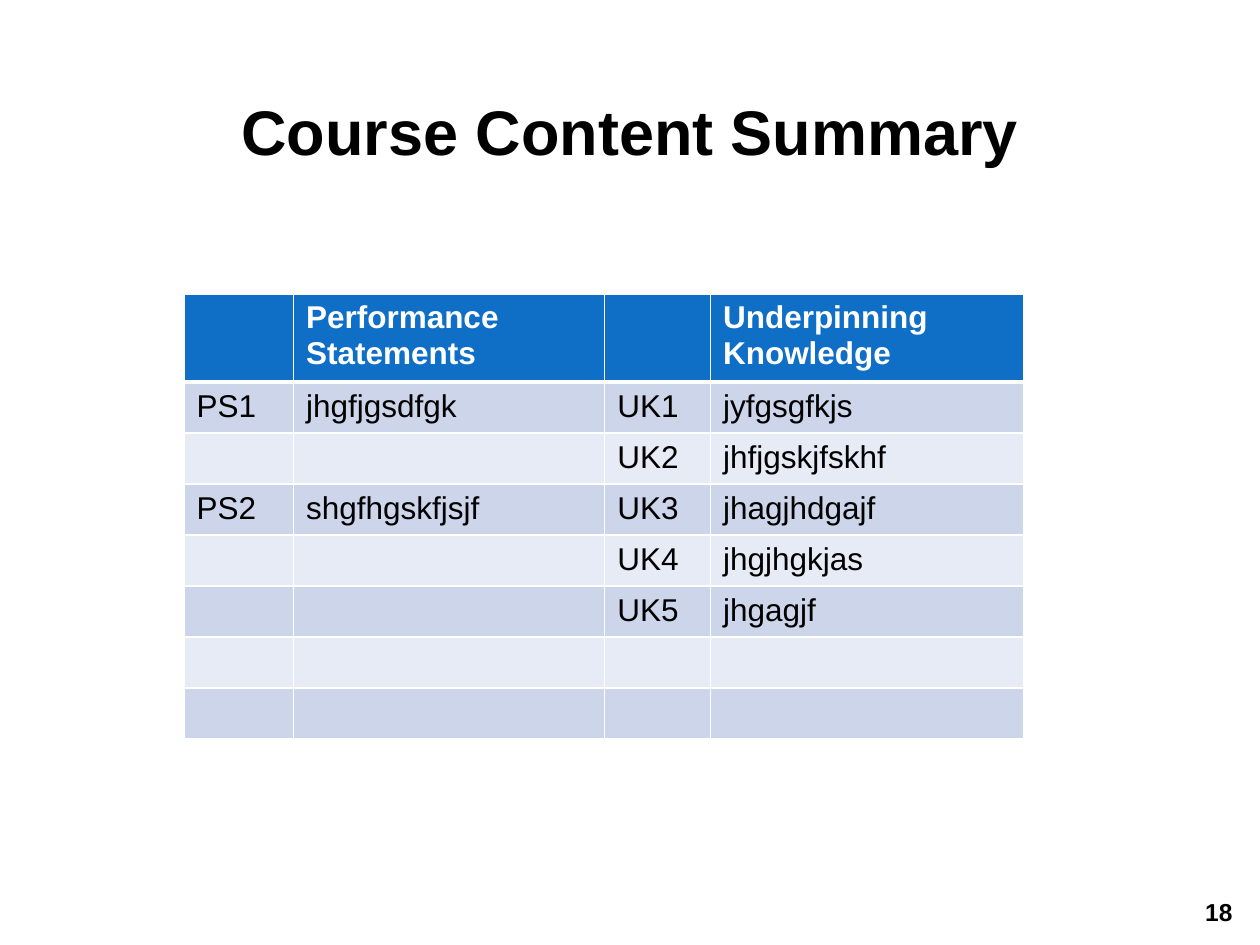
from dataclasses import dataclass

from lxml import etree
from pptx import Presentation
from pptx.dml.color import RGBColor
from pptx.enum.text import MSO_ANCHOR, PP_ALIGN
from pptx.oxml.ns import qn
from pptx.util import Inches, Pt

LEFT, CENTER, RIGHT = PP_ALIGN.LEFT, PP_ALIGN.CENTER, PP_ALIGN.RIGHT
MIDDLE = MSO_ANCHOR.MIDDLE

SLIDE_W, SLIDE_H = 10, 7.5
FONT = "Arial"
COLORS = {
    "text": "000000",
    "white": "FFFFFF",
    "header": "0F6FC6",
    "odd": "CCD5EA",
    "even": "E7EBF5",
}


@dataclass(frozen=True)
class Label:
    text: str
    x: float
    y: float
    w: float
    h: float
    size: int
    align: PP_ALIGN


LABELS = [
    Label("Course Content Summary", 0.075, 0.08, 0.85, 0.116, 36, CENTER),
    Label("18", 0.894, 0.937, 0.094, 0.056, 14, RIGHT),
]

TABLE_X, TABLE_Y = 0.146, 0.311
COL_WIDTHS = [0.87, 2.47, 0.84, 2.49]
HEADER_H, ROW_H = 0.65, 0.405
ROWS = [
    ("", "Performance Statements", "", "Underpinning Knowledge"),
    ("PS1", "jhgfjgsdfgk", "UK1", "jyfgsgfkjs"),
    ("", "", "UK2", "jhfjgskjfskhf"),
    ("PS2", "shgfhgskfjsjf", "UK3", "jhagjhdgajf"),
    ("", "", "UK4", "jhgjhgkjas"),
    ("", "", "UK5", "jhgagjf"),
    ("", "", "", ""),
    ("", "", "", ""),
]


def write(tf, text: str, *, size: int = 18, color: str = "text",
          bold: bool = False, align: PP_ALIGN = LEFT) -> None:
    p = tf.paragraphs[0]
    p.alignment = align
    p.font.size = Pt(size)
    if text:
        r = p.add_run()
        r.text = text
        r.font.name = FONT
        r.font.size = Pt(size)
        r.font.bold = bold
        r.font.color.rgb = RGBColor.from_string(COLORS[color])


def add_label(slide, label: Label) -> None:
    sp = slide.shapes.add_textbox(
        Inches(label.x * SLIDE_W), Inches(label.y * SLIDE_H),
        Inches(label.w * SLIDE_W), Inches(label.h * SLIDE_H))
    tf = sp.text_frame
    tf.word_wrap = True
    tf.vertical_anchor = MIDDLE
    write(tf, label.text, size=label.size, bold=True, align=label.align)


def set_borders(cell, widths: dict[str, int]) -> None:
    tc_pr = cell._tc.get_or_add_tcPr()
    for i, (side, width) in enumerate(widths.items()):
        ln = etree.Element(qn(f"a:{side}"), w=str(Pt(width)))
        fill = etree.SubElement(ln, qn("a:solidFill"))
        etree.SubElement(fill, qn("a:srgbClr"), val=COLORS["white"])
        tc_pr.insert(i, ln)


def add_summary_table(slide) -> None:
    heights = [HEADER_H] + [ROW_H] * (len(ROWS) - 1)
    table = slide.shapes.add_table(
        len(ROWS), len(COL_WIDTHS),
        Inches(TABLE_X * SLIDE_W), Inches(TABLE_Y * SLIDE_H),
        Inches(sum(COL_WIDTHS)), Inches(sum(heights))).table
    for col, width in zip(table.columns, COL_WIDTHS):
        col.width = Inches(width)
    for i, (row, height, texts) in enumerate(zip(table.rows, heights, ROWS)):
        row.height = Inches(height)
        header = i == 0
        fill = "header" if header else "odd" if i % 2 else "even"
        for cell, text in zip(row.cells, texts):
            write(cell.text_frame, text, bold=header,
                  color="white" if header else "text")
            cell.fill.solid()
            cell.fill.fore_color.rgb = RGBColor.from_string(COLORS[fill])
            set_borders(cell, {"lnL": 1, "lnR": 1,
                               "lnT": 3 if i == 1 else 1,
                               "lnB": 3 if header else 1})


def main() -> None:
    prs = Presentation()
    prs.slide_width, prs.slide_height = Inches(SLIDE_W), Inches(SLIDE_H)
    slide = prs.slides.add_slide(prs.slide_layouts[6])
    for label in LABELS:
        add_label(slide, label)
    add_summary_table(slide)
    prs.save("out.pptx")


if __name__ == "__main__":
    main()
